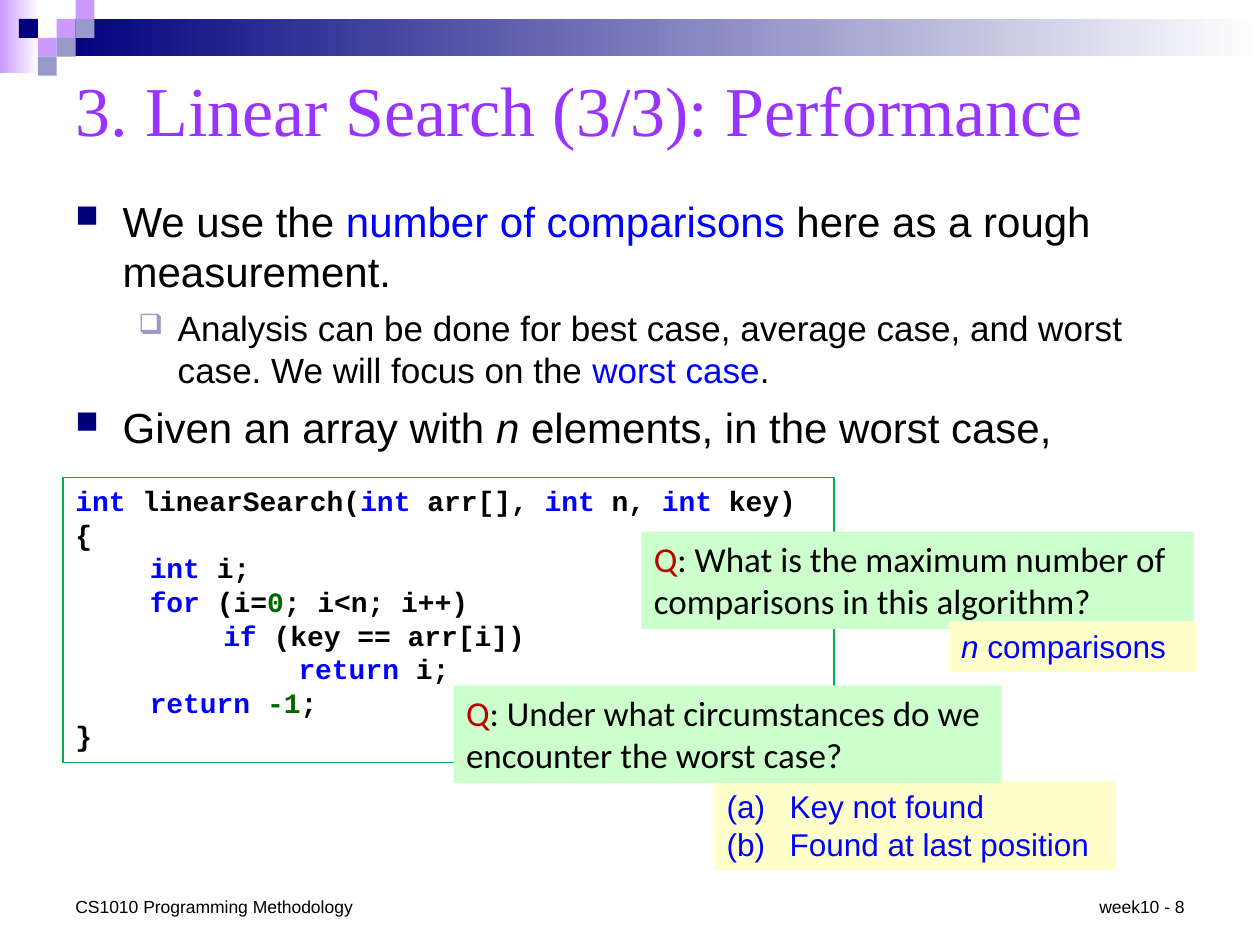
import pptx
import pptx.dml.color
import pptx.enum.shapes
import pptx.enum.text
import pptx.oxml.ns
import pptx.util
from lxml import etree

Pt = pptx.util.Pt
RGB = pptx.dml.color.RGBColor
ALIGN = pptx.enum.text.PP_ALIGN
ANCHOR = pptx.enum.text.MSO_ANCHOR
RECT = pptx.enum.shapes.MSO_SHAPE.RECTANGLE

BLACK = RGB(0, 0, 0)
WHITE = RGB(255, 255, 255)
BLUE = RGB(0, 0, 255)
NAVY = RGB(0, 0, 0x7D)
LILAC = RGB(0xCC, 0x99, 0xFF)
SLATE = RGB(0x99, 0x99, 0xCC)
PURPLE = RGB(0x99, 0x33, 0xFF)
GREEN = RGB(0, 0x66, 0)
FRAME = RGB(0, 0xB0, 0x50)
RED = RGB(0xC0, 0, 0)
MINT = RGB(0xCC, 0xFF, 0xCC)
CREAM = RGB(0xFF, 0xFF, 0xCC)

# A line of text is a list of runs: (text, colour) or (text, colour, italic).
TITLE = [[("3. Linear Search (3/3): Performance", PURPLE)]]
COURSE = [[("CS1010 Programming Methodology", BLACK)]]
NUMBER = [[("week10 - 8", BLACK)]]
POINTS = [
    (0, [("We use the ", BLACK), ("number of comparisons ", BLUE),
         ("here as a rough measurement.", BLACK)]),
    (1, [("Analysis can be done for best case, average case, and worst case. "
          "We will focus on the ", BLACK), ("worst case", BLUE), (".", BLACK)]),
    (0, [("Given an array with ", BLACK), ("n", BLACK, True),
         (" elements, in the worst case,", BLACK)]),
]
# Per level: size, margin, indent, bullet, bullet colour, bullet percent
LEVELS = [(24, 27, -27, "■", NAVY, 75), (20, 58.5, -22.5, "❑", SLATE, 80)]
CODE = [
    [("int ", BLUE), ("linearSearch(", BLACK), ("int ", BLUE), ("arr[], ", BLACK),
     ("int ", BLUE), ("n, ", BLACK), ("int", BLUE), (" key)", BLACK)],
    [("{", BLACK)],
    [("\tint ", BLUE), ("i;", BLACK)],
    [("\tfor", BLUE), (" (i=", BLACK), ("0", GREEN), ("; i<n; i++)", BLACK)],
    [("\t\tif", BLUE), (" (key == arr[i])", BLACK)],
    [("\t\t\treturn ", BLUE), ("i;", BLACK)],
    [("\treturn ", BLUE), ("-1", GREEN), (";", BLACK)],
    [("}", BLACK)],
]
TABS = [42.5, 84.5, 127.5, 155.5]
CASES = [[("Key not found", BLUE)], [("Found at last position", BLUE)]]
COUNT = [[("n", BLUE, True), (" comparisons ", BLUE)]]
ASKS = [
    ((366.5, 303.8, 315.4, 55.7),
     ": What is the maximum number of comparisons in this algorithm?"),
    ((259.2, 391.7, 313.2, 55.7),
     ": Under what circumstances do we encounter the worst case?"),
]
STEP = 10.8
BANDS = [((0, 0, 22.3, 41.8), LILAC), ((32.4, STEP, 687.6, 21.4), NAVY)]
# Mosaic tiles: column, row, colour
TILES = [(3, 1, LILAC), (4, 0, LILAC), (4, 1, SLATE), (2, 2, LILAC),
         (1, 1, NAVY), (3, 2, SLATE), (2, 3, SLATE)]


def add(para, tag, **attrs):
    """Append a drawing element to the paragraph properties."""
    props = para._p.get_or_add_pPr()
    return etree.SubElement(props, pptx.oxml.ns.qn("a:" + tag), attrs)


def indent(para, left, first):
    """Set the left margin and the first-line indent."""
    props = para._p.get_or_add_pPr()
    props.set("marL", str(Pt(left)))
    props.set("indent", str(Pt(first)))


def write(shape, lines, font, size, anchor=ANCHOR.TOP, align=ALIGN.LEFT,
          before=0, wrap=True):
    """Fill a shape with lines of coloured runs; return the paragraphs."""
    frame = shape.text_frame
    frame.word_wrap = wrap
    frame.vertical_anchor = anchor
    paras = []
    for i, line in enumerate(lines):
        para = frame.add_paragraph() if i else frame.paragraphs[0]
        para.alignment = align
        para.space_before = Pt(before)
        for text, color, *slant in line:
            run = para.add_run()
            run.text = text
            run.font.name = font
            run.font.size = Pt(size)
            run.font.color.rgb = color
            if slant:
                run.font.italic = True
        paras.append(para)
    return paras


def block(box, fill, fade=False):
    """Draw a rectangle, plain or fading to white at the right."""
    shape = slide.shapes.add_shape(RECT, *map(Pt, box))
    shape.shadow.inherit = False
    shape.line.fill.background()
    if fade:
        shape.fill.gradient()
        shape.fill.gradient_angle = 0
        for stop, color, spot in zip(shape.fill.gradient_stops, (fill, WHITE), (0, 1)):
            stop.color.rgb = color
            stop.position = spot
    else:
        shape.fill.solid()
        shape.fill.fore_color.rgb = fill
    return shape


def label(*box):
    """Add an empty text box."""
    return slide.shapes.add_textbox(*map(Pt, box))


deck = pptx.Presentation()
deck.slide_width, deck.slide_height = Pt(720), Pt(540)
slide = deck.slides.add_slide(deck.slide_layouts[5])

for box, color in BANDS:
    block(box, color, fade=True)
for col, row, color in TILES:
    block((col * STEP, row * STEP, STEP, STEP), color)

title = slide.shapes.title
title.left, title.top, title.width, title.height = map(Pt, (36, 30.2, 648, 63.4))
write(title, TITLE, "Times New Roman", 40, ANCHOR.MIDDLE)

write(label(36, 508.3, 174.2, 19.4), COURSE, "Arial", 10, ANCHOR.BOTTOM)
write(label(620.6, 508.3, 63.4, 19.4), NUMBER, "Arial", 10, ANCHOR.BOTTOM,
      ALIGN.RIGHT, wrap=False)

body = write(label(36, 108, 648, 154.8), [line for _, line in POINTS],
             "Arial", 24, before=6)
for para, (level, _) in zip(body, POINTS):
    size, left, first, mark, color, part = LEVELS[level]
    para.level = level
    indent(para, left, first)
    tint = add(para, "buClr")
    etree.SubElement(tint, pptx.oxml.ns.qn("a:srgbClr"), val=str(color))
    add(para, "buSzPct", val=str(part * 1000))
    add(para, "buChar", char=mark)
    for run in para.runs:
        run.font.size = Pt(size)

panel = block((36, 272.9, 440.6, 162.7), WHITE)
panel.line.color.rgb = FRAME
panel.line.width = Pt(0.75)
for para in write(panel, CODE, "Courier New", 16):
    stops = add(para, "tabLst")
    for tab in TABS:
        etree.SubElement(stops, pptx.oxml.ns.qn("a:tab"), pos=str(Pt(tab)), algn="l")
    for run in para.runs:
        run.font.bold = True

for para in write(block((408.2, 446.4, 229.7, 50.9), CREAM), CASES, "Arial", 18):
    indent(para, 36, -36)
    add(para, "buAutoNum", type="alphaLcParenBoth")

for box, text in ASKS:
    write(block(box, MINT), [[("Q", RED), (text, BLACK)]], "Calibri", 20, before=12)
write(block((542.2, 355, 141.8, 29), CREAM), COUNT, "Arial", 18)

deck.save("out.pptx")
